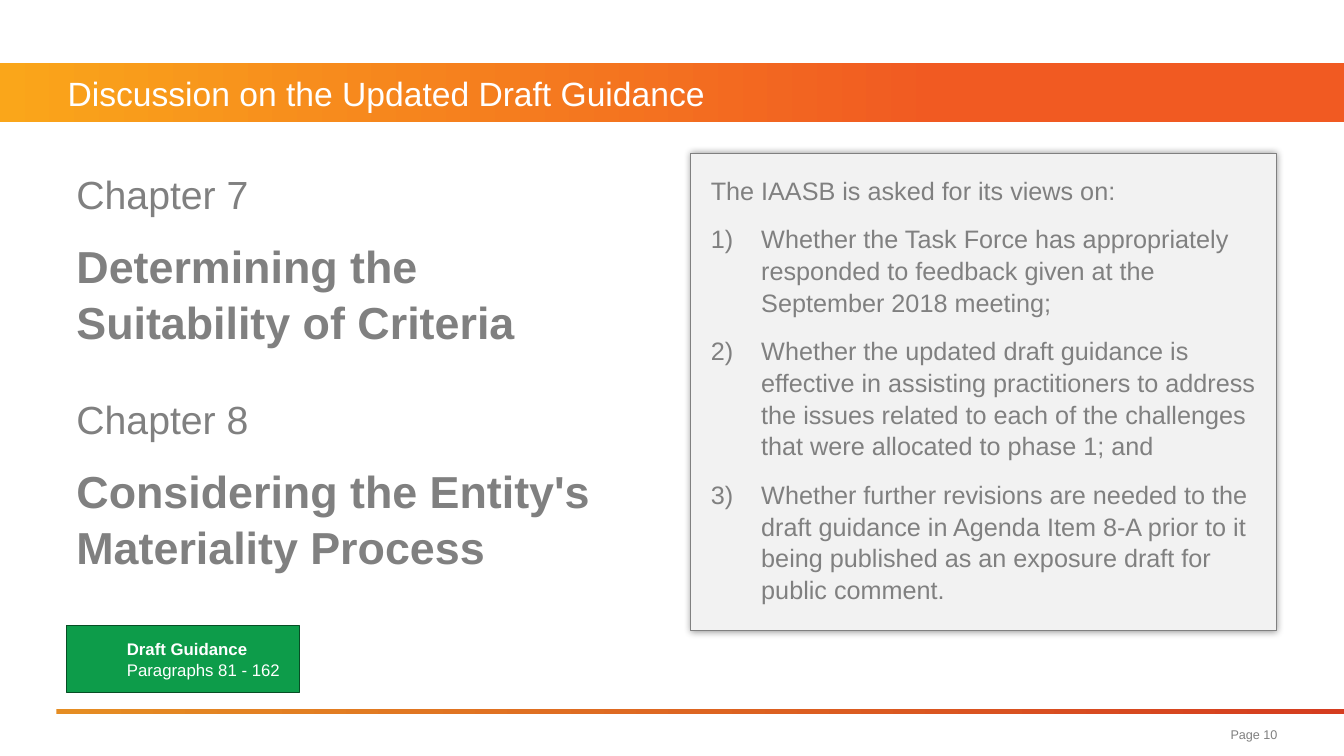
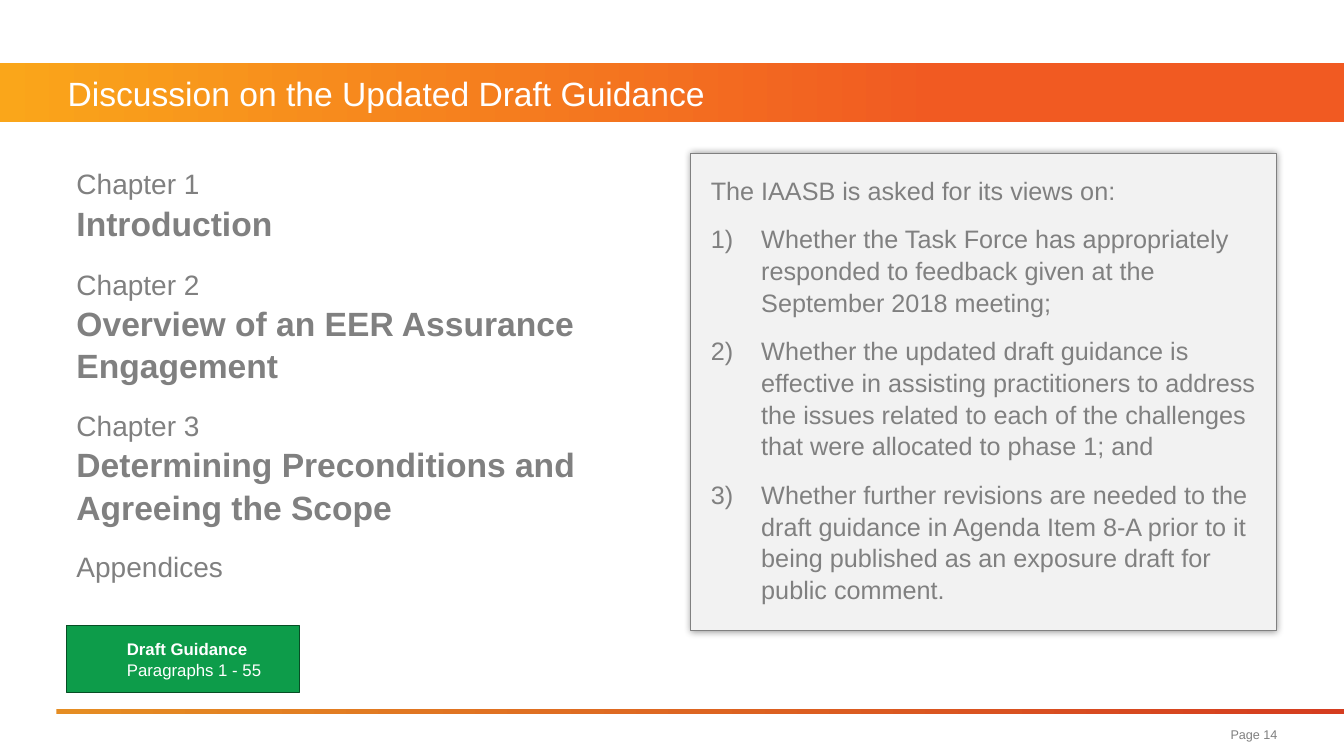
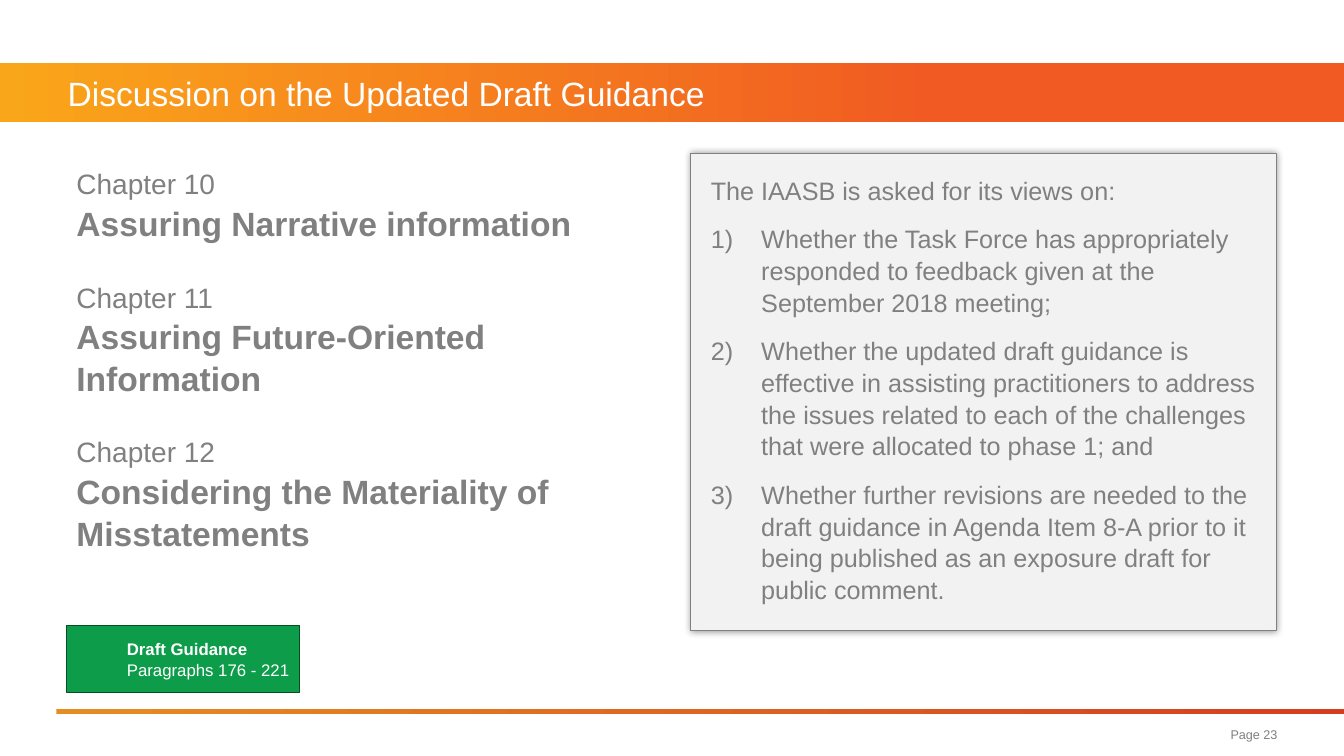
"""Build three discussion slides on the updated draft guidance."""
from dataclasses import dataclass

import pptx
import pptx.dml.color
import pptx.enum.shapes
import pptx.enum.text
import pptx.oxml
import pptx.oxml.ns
import pptx.util

TITLE = "Discussion on the Updated Draft Guidance"
REQUEST = "The IAASB is asked for its views on:"
QUESTIONS = [
    "Whether the Task Force has appropriately responded to feedback given at the September 2018 meeting;",
    "Whether the updated draft guidance is effective in assisting practitioners to address the issues "
    "related to each of the challenges that were allocated to phase 1; and",
    "Whether further revisions are needed to the draft guidance in Agenda Item 8-A prior to it being "
    "published as an exposure draft for public comment.",
]
SLIDES = [
    dict(page=10, paragraphs="81 - 162", top=1.62, width=5.56, gap=0.39,
         label_size=28, name_size=32, name_space=13,
         chapters=[("Chapter 7", "Determining the Suitability of Criteria", 2),
                   ("Chapter 8", "Considering the Entity's Materiality Process", 2)]),
    dict(page=14, paragraphs="1 - 55", top=1.59, width=5.92, gap=0.15,
         label_size=20, name_size=24, name_space=0,
         chapters=[("Chapter 1", "Introduction", 1),
                   ("Chapter 2", "Overview of an EER Assurance Engagement", 2),
                   ("Chapter 3", "Determining Preconditions and Agreeing the Scope", 2),
                   ("Appendices", "", 0)]),
    dict(page=23, paragraphs="176 - 221", top=1.59, width=5.56, gap=0.28,
         label_size=20, name_size=24, name_space=0,
         chapters=[("Chapter 10", "Assuring Narrative information", 1),
                   ("Chapter 11", "Assuring Future-Oriented Information", 2),
                   ("Chapter 12", "Considering the Materiality of Misstatements", 2)]),
]


@dataclass(frozen=True)
class Theme:
    """Colours, type sizes and measures shared by the slides."""
    font: str = "Arial"
    text: str = "808080"
    white: str = "FFFFFF"
    panel: str = "F2F2F2"
    green: str = "0D9C4A"
    green_line: str = "074E25"
    band: tuple = (("FAA61A", 0), ("F15A22", 0.7))
    rule: tuple = (("E58D23", 0), ("D53D20", 1))
    title_size: int = 24
    body_size: int = 18
    tag_size: int = 12
    page_size: int = 9
    line: float = 0.75
    leading: float = 1.05
    line_height: float = 1.22
    width: float = 13.33
    height: float = 7.5
    margin: float = 0.66
    inset: float = 0.05


T = Theme()
RECT = pptx.enum.shapes.MSO_SHAPE.RECTANGLE
ALIGN = pptx.enum.text.PP_ALIGN
ANCHOR = pptx.enum.text.MSO_ANCHOR
Inches, Pt = pptx.util.Inches, pptx.util.Pt


def rgb(colour):
    """Return an RGB colour from its hex form."""
    return pptx.dml.color.RGBColor.from_string(colour)


def add_rect(slide, box, fill, line=None):
    """Add a rectangle with a solid or gradient fill."""
    sp = slide.shapes.add_shape(RECT, *map(Inches, box))
    if isinstance(fill, str):
        sp.fill.solid()
        sp.fill.fore_color.rgb = rgb(fill)
    else:
        sp.fill.gradient()
        sp.fill.gradient_angle = 0
        for stop, (colour, position) in zip(sp.fill.gradient_stops, fill):
            stop.color.rgb = rgb(colour)
            stop.position = position
    if line:
        sp.line.color.rgb = rgb(line)
        sp.line.width = Pt(T.line)
    else:
        sp.line.fill.background()
    sp.shadow.inherit = False
    return sp


def set_frame(sp, anchor=ANCHOR.TOP, inset=None):
    """Wrap the text frame of a shape and set its anchor and margins."""
    tf = sp.text_frame
    tf.word_wrap = True
    tf.auto_size = pptx.enum.text.MSO_AUTO_SIZE.NONE
    tf.vertical_anchor = anchor
    if inset is not None:
        tf.margin_left = tf.margin_right = tf.margin_top = tf.margin_bottom = Inches(inset)
    return tf


def style(p, size, colour=T.text, bold=False, align=ALIGN.LEFT):
    """Format a paragraph and its runs."""
    p.alignment = align
    p.line_spacing = T.leading
    for r in p.runs:
        r.font.name, r.font.size, r.font.bold = T.font, Pt(size), bold
        r.font.color.rgb = rgb(colour)


def indent(p, left, first=0):
    """Set the left and first-line indents of a paragraph."""
    pPr = p._p.get_or_add_pPr()
    pPr.set("marL", str(Inches(left)))
    pPr.set("indent", str(Inches(first)))
    return pPr


def add_bands(slide, layout):
    """Place the title band and footer rule on the shared layout."""
    tree = layout.shapes.element
    for box, stops in (((0, 0.62, T.width, 0.59), T.band),
                       ((0.56, 7.03, T.width - 0.56, 0.05), T.rule)):
        sp = add_rect(slide, box, stops)
        sp.element.nvSpPr.cNvPr.id = tree.max_shape_id + 1
        tree.insert(2, sp.element)


def add_title(slide):
    """Fill and format the title placeholder."""
    sp = slide.shapes.title
    sp.left, sp.top, sp.width, sp.height = map(Inches, (0.67, 0.62, 12, 0.59))
    tf = set_frame(sp, ANCHOR.MIDDLE, 0)
    tf.text = TITLE
    style(tf.paragraphs[0], T.title_size, T.white)


def add_chapters(slide, data):
    """Stack the chapter boxes with equal gaps."""
    top = data["top"]
    for label, name, lines in data["chapters"]:
        points = T.line_height * (data["label_size"] + lines * data["name_size"]) + data["name_space"]
        height = points / 72 + 2 * T.inset
        sp = slide.shapes.add_textbox(*map(Inches, (T.margin, top, data["width"], height)))
        tf = set_frame(sp)
        tf.text = label
        style(tf.paragraphs[0], data["label_size"])
        if name:
            p = tf.add_paragraph()
            p.text = name
            p.space_before = Pt(data["name_space"])
            style(p, data["name_size"], bold=True)
        top += height + data["gap"]


def add_panel(slide):
    """Add the shadowed panel with the numbered questions."""
    sp = add_rect(slide, (6.85, 1.52, 5.81, 4.74), T.panel, T.text)
    effects = sp.element.spPr.find(pptx.oxml.ns.qn("a:effectLst"))
    effects.append(pptx.oxml.parse_xml(
        f'<a:outerShdw {pptx.oxml.ns.nsdecls("a")} blurRad="{Pt(5)}" dist="0" dir="0">'
        '<a:srgbClr val="000000"><a:alpha val="40000"/></a:srgbClr></a:outerShdw>'))
    tf = set_frame(sp, inset=0.2)
    tf.text = REQUEST
    style(tf.paragraphs[0], T.body_size)
    for question in QUESTIONS:
        p = tf.add_paragraph()
        p.text = question
        pPr = indent(p, 0.5, -0.5)
        pPr.append(pptx.oxml.parse_xml(
            f'<a:buAutoNum {pptx.oxml.ns.nsdecls("a")} type="arabicParenR"/>'))
        p.space_before = Pt(12)
        style(p, T.body_size)


def add_tag(slide, paragraphs):
    """Add the green tag naming the paragraphs of the draft."""
    sp = add_rect(slide, (T.margin, 6.21, 2.31, 0.66), T.green, T.green_line)
    tf = set_frame(sp, ANCHOR.MIDDLE)
    tf.text = f"Draft Guidance\nParagraphs {paragraphs}"
    for p, bold in zip(tf.paragraphs, (True, False)):
        indent(p, 0.5)
        style(p, T.tag_size, T.white, bold)


def add_page(slide, page):
    """Add the page number at the bottom right."""
    sp = slide.shapes.add_textbox(*map(Inches, (8.65, 7.12, 4.02, 0.33)))
    tf = set_frame(sp, ANCHOR.MIDDLE, 0)
    tf.text = f"Page {page}"
    style(tf.paragraphs[0], T.page_size, align=ALIGN.RIGHT)


def main():
    """Build and save the presentation."""
    prs = pptx.Presentation()
    prs.slide_width, prs.slide_height = Inches(T.width), Inches(T.height)
    layout = prs.slide_layouts.get_by_name("Title Only")
    for i, data in enumerate(SLIDES):
        s = prs.slides.add_slide(layout)
        if i == 0:
            add_bands(s, layout)
        add_title(s)
        add_chapters(s, data)
        add_panel(s)
        add_tag(s, data["paragraphs"])
        add_page(s, data["page"])
    prs.save("out.pptx")


if __name__ == "__main__":
    main()
